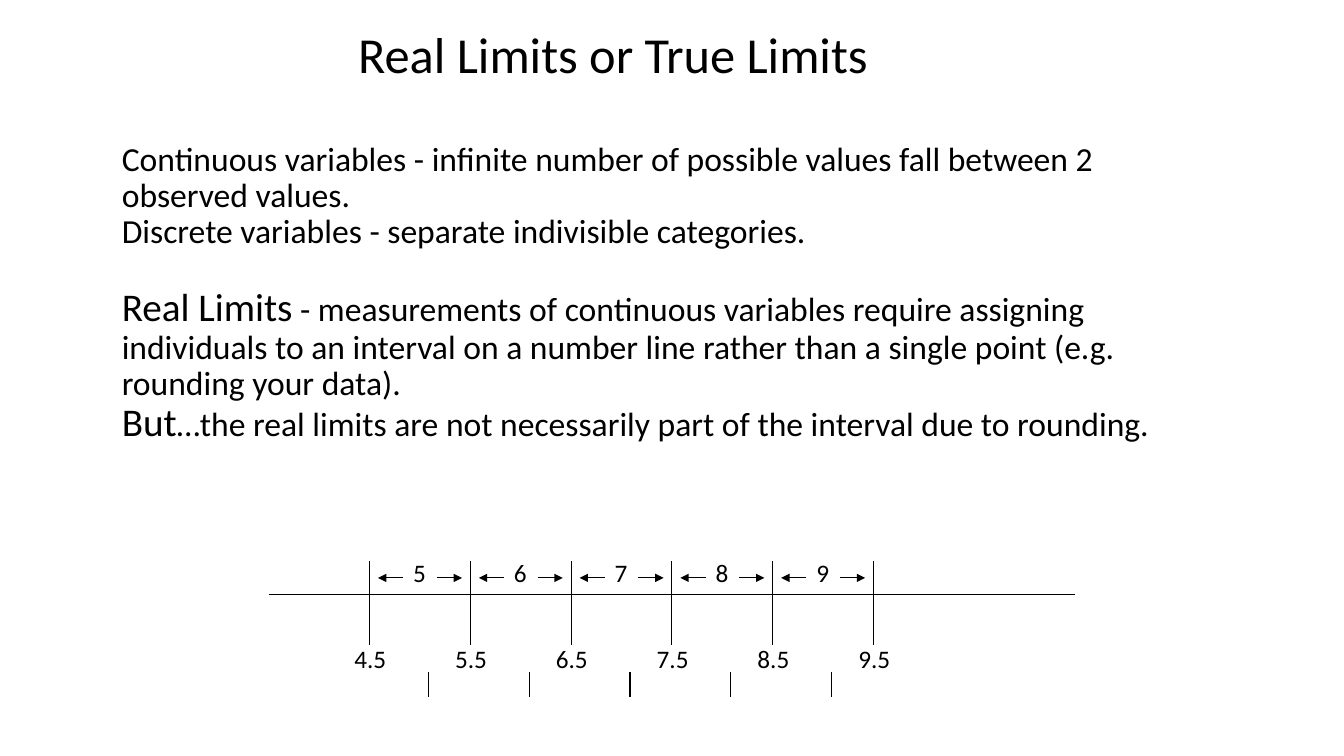
from dataclasses import dataclass

from lxml.etree import SubElement
from pptx import Presentation
from pptx.dml.color import RGBColor
from pptx.enum.shapes import MSO_CONNECTOR as Connector
from pptx.enum.text import PP_ALIGN as Align
from pptx.oxml.ns import qn
from pptx.slide import Slide
from pptx.text.text import TextFrame
from pptx.util import Inches, Pt


@dataclass(frozen=True)
class Theme:
    font: str = "Calibri"
    ink: RGBColor = RGBColor(0, 0, 0)
    title: int = 36
    lead: int = 28
    body: int = 24
    label: int = 18
    line: float = 0.75
    leading: float = 0.9
    section_gap: float = 26.4


@dataclass(frozen=True)
class Box:
    col: float
    row: float
    cols: float
    rows: float
    inset: float = 0


@dataclass(frozen=True)
class Stroke:
    col1: float
    row1: float
    col2: float
    row2: float
    arrow: bool = False


@dataclass(frozen=True)
class Para:
    text: str
    lead: str = ""
    gap: float = 0


THEME = Theme()
CELL = Inches(1 / 12)
STEP = 12
FIRST_LIMIT = 44
VALUES = range(5, 10)
AXIS_ROW, ARROW_ROW = 70.8, 68.8
TICK_TOP, TICK_END = 66.8, 76.8
MARK_TOP, MARK_END = 80, 83
VALUE_ROW, LIMIT_ROW = 65.8, 76

TITLE = Box(22, 2.8, 102, 7.3)
BODY = Box(14.5, 16.9, 129, 42.6)
PARAS = [
    Para("Continuous variables - infinite number of possible values fall between 2 observed values."),
    Para("Discrete variables - separate indivisible categories."),
    Para(" - measurements of continuous variables require assigning individuals to an interval "
         "on a number line rather than a single point (e.g. rounding your data).",
         "Real Limits", THEME.section_gap),
    Para("…the real limits are not necessarily part of the interval due to rounding.", "But"),
]


def grid(cells: float) -> int:
    return round(cells * CELL)


def add_box(s: Slide, box: Box) -> TextFrame:
    sp = s.shapes.add_textbox(*map(grid, (box.col, box.row, box.cols, box.rows)))
    tf = sp.text_frame
    tf.word_wrap = True
    if not box.inset:
        tf.margin_left = tf.margin_right = tf.margin_top = tf.margin_bottom = 0
    else:
        tf.margin_left = tf.margin_right = Inches(box.inset)
    return tf


def style(r, size: int) -> None:
    r.font.name = THEME.font
    r.font.size = Pt(size)
    r.font.color.rgb = THEME.ink


def add_text(s: Slide, box: Box, text: str, size: int, align: Align = Align.LEFT) -> None:
    tf = add_box(s, box)
    tf.text = text
    p = tf.paragraphs[0]
    p.alignment = align
    style(p.runs[0], size)


def add_body(s: Slide, box: Box, paras: list[Para]) -> None:
    tf = add_box(s, box)
    for i, para in enumerate(paras):
        p = tf.add_paragraph() if i else tf.paragraphs[0]
        p.line_spacing = THEME.leading
        p.space_before = Pt(para.gap)
        for text, size in ((para.lead, THEME.lead), (para.text, THEME.body)):
            if text:
                r = p.add_run()
                r.text = text
                style(r, size)


def add_stroke(s: Slide, stroke: Stroke) -> None:
    ends = (stroke.col1, stroke.row1, stroke.col2, stroke.row2)
    sp = s.shapes.add_connector(Connector.STRAIGHT, *map(grid, ends))
    sp.line.color.rgb = THEME.ink
    sp.line.width = Pt(THEME.line)
    if stroke.arrow:
        SubElement(sp.line._get_or_add_ln(), qn("a:tailEnd"), type="triangle")
    SubElement(sp._element.spPr, qn("a:effectLst"))


def add_number_line(s: Slide) -> None:
    add_stroke(s, Stroke(32, AXIS_ROW, 128, AXIS_ROW))
    for i in range(len(VALUES) + 1):
        col = FIRST_LIMIT + i * STEP
        add_stroke(s, Stroke(col, TICK_TOP, col, TICK_END))
        add_text(s, Box(col - 3, LIMIT_ROW, 11, 4.8, 0.1), f"{VALUES[0] + i - 0.5}", THEME.label)
    for i, value in enumerate(VALUES):
        col = FIRST_LIMIT + i * STEP
        add_text(s, Box(col + 4, VALUE_ROW, 4, 4.8, 0.1), str(value), THEME.label)
        for start, end in ((4, 1), (8, 11)):
            add_stroke(s, Stroke(col + start, ARROW_ROW, col + end, ARROW_ROW, True))
        add_stroke(s, Stroke(col + 7, MARK_TOP, col + 7, MARK_END))


def main() -> None:
    prs = Presentation()
    prs.slide_width, prs.slide_height = grid(160), grid(90)
    s = prs.slides.add_slide(prs.slide_layouts[6])
    add_text(s, TITLE, "Real Limits or True Limits", THEME.title, Align.CENTER)
    add_body(s, BODY, PARAS)
    add_number_line(s)
    prs.save("out.pptx")


if __name__ == "__main__":
    main()
